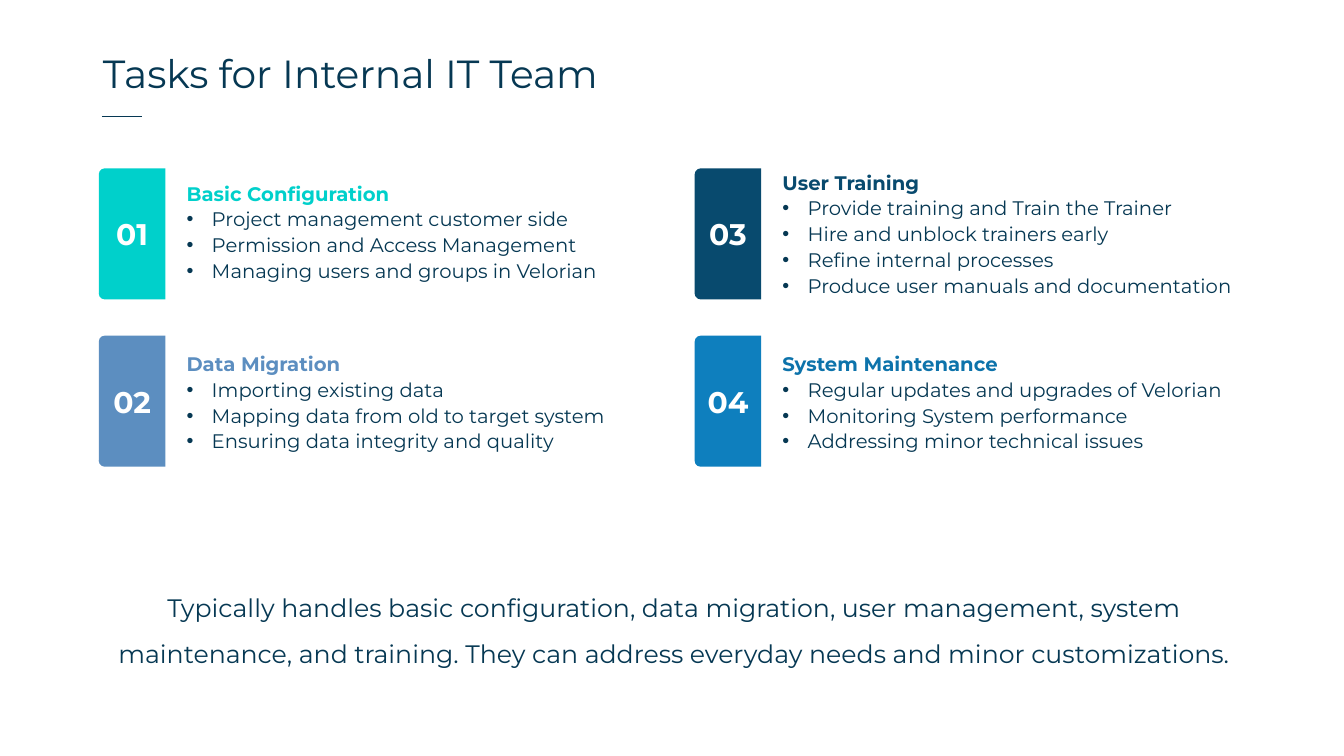
from dataclasses import dataclass

from lxml import etree
from pptx import Presentation
from pptx.dml.color import RGBColor
from pptx.enum.shapes import MSO_CONNECTOR, MSO_SHAPE
from pptx.enum.text import MSO_ANCHOR, MSO_AUTO_SIZE, PP_ALIGN
from pptx.oxml.ns import qn
from pptx.util import Inches, Pt

LEFT, CENTER = PP_ALIGN.LEFT, PP_ALIGN.CENTER
TOP, MIDDLE = MSO_ANCHOR.TOP, MSO_ANCHOR.MIDDLE
TAB_SHAPE = MSO_SHAPE.ROUND_2_SAME_RECTANGLE
STRAIGHT = MSO_CONNECTOR.STRAIGHT
COMPARISON_LAYOUT = 4  # a title and four body placeholders


@dataclass(frozen=True)
class Theme:
    font: str = "Montserrat"
    ink: str = "063853"
    white: str = "FFFFFF"
    title_size: float = 28
    number_size: float = 21.3
    list_size: float = 14
    summary_size: float = 18


theme = Theme()


def place(shape, left, top, width, height):
    """Move a shape to a place given in inches."""
    shape.left, shape.top = Inches(left), Inches(top)
    shape.width, shape.height = Inches(width), Inches(height)


def write(shape, text, *, size, color=theme.ink, bold=False, align=LEFT,
          anchor=MIDDLE, spacing=1.0, inset=None, bullets=()):
    """Write a lead paragraph, then any bulleted ones, in one format."""
    frame = shape.text_frame
    frame.word_wrap = True
    frame.auto_size = MSO_AUTO_SIZE.NONE
    frame.vertical_anchor = anchor
    if inset is not None:
        frame.margin_left = frame.margin_right = Inches(inset)
        frame.margin_top = frame.margin_bottom = Inches(inset)
    for index, line in enumerate([text, *bullets]):
        paragraph = frame.paragraphs[0] if index == 0 else frame.add_paragraph()
        paragraph.alignment = align
        paragraph.line_spacing = spacing
        paragraph.space_before = paragraph.space_after = Pt(0)
        run = paragraph.add_run()
        run.text = line
        run.font.name = theme.font
        run.font.size = Pt(size)
        run.font.bold = bold and index == 0
        run.font.color.rgb = RGBColor.from_string(color if index == 0 else theme.ink)
        # Hanging bullets below the lead paragraph
        properties = paragraph._p.get_or_add_pPr()
        hang = Inches(0.25) if index else 0
        properties.set("marL", str(hang))
        properties.set("indent", str(-hang))
        if index:
            etree.SubElement(properties, qn("a:buFont")).set("typeface", "Arial")
            etree.SubElement(properties, qn("a:buChar")).set("char", "•")
        else:
            etree.SubElement(properties, qn("a:buNone"))


presentation = Presentation()
presentation.slide_width, presentation.slide_height = Inches(13.33), Inches(7.5)
slide = presentation.slides.add_slide(presentation.slide_layouts[COMPARISON_LAYOUT])
title, *list_bodies = slide.placeholders

# Title and its short rule
place(title, 0.92, 0.23, 9.43, 1.04)
write(title, "Tasks for Internal IT Team", size=theme.title_size, spacing=0.9)
rule = slide.shapes.add_connector(
    STRAIGHT, Inches(1.01), Inches(1.15), Inches(1.41), Inches(1.15))
rule.line.color.rgb = RGBColor.from_string(theme.ink)
rule.line.width = Pt(0.25)
etree.SubElement(rule._element.spPr, qn("a:effectLst"))

# Task cards, filled down the columns:
# tab colour, heading colour, shift of the list from the tab's middle, heading, items
cards = [
    ("00D0CB", "00D0CB", -0.03, "Basic Configuration",
     ["Project management customer side",
      "Permission and Access Management",
      "Managing users and groups in Velorian"]),
    ("5C8EC0", "5C8EC0", 0, "Data Migration",
     ["Importing existing data",
      "Mapping data from old to target system",
      "Ensuring data integrity and quality"]),
    ("084A6E", "084A6E", -0.01, "User Training",
     ["Provide training and Train the Trainer",
      "Hire and unblock trainers early",
      "Refine internal processes",
      "Produce user manuals and documentation"]),
    ("0E7FBE", "0D73AB", 0, "System Maintenance",
     ["Regular updates and upgrades of Velorian",
      "Monitoring System performance",
      "Addressing minor technical issues"]),
]
ROWS = 2
GRID_LEFT, FIRST_MIDDLE = 0.98, 2.32
COLUMN_STEP, ROW_STEP = 5.91, 1.66
TAB_WIDTH, TAB_HEIGHT = 0.66, 1.3
NUMBER_WIDTH, NUMBER_HEIGHT = 0.58, 0.36
LIST_OFFSET, LIST_WIDTH, LIST_HEIGHT = 0.77, 4.77, 1.4

for index, (body, card) in enumerate(zip(list_bodies, cards)):
    tab_color, heading_color, shift, heading, items = card
    column, row = divmod(index, ROWS)
    left = GRID_LEFT + column * COLUMN_STEP
    middle = FIRST_MIDDLE + row * ROW_STEP
    center = left + TAB_WIDTH / 2

    # Tab, turned so that its rounded corners face left
    tab = slide.shapes.add_shape(TAB_SHAPE, 0, 0, 0, 0)
    place(tab, center - TAB_HEIGHT / 2, middle - TAB_WIDTH / 2, TAB_HEIGHT, TAB_WIDTH)
    tab.rotation = 270
    tab.adjustments[0], tab.adjustments[1] = 0.09, 0
    tab.shadow.inherit = False
    tab.fill.solid()
    tab.fill.fore_color.rgb = RGBColor.from_string(tab_color)
    tab.line.fill.background()

    # Upright number
    number = slide.shapes.add_textbox(0, 0, 0, 0)
    place(number, center - NUMBER_WIDTH / 2, middle - NUMBER_HEIGHT / 2,
          NUMBER_WIDTH, NUMBER_HEIGHT)
    write(number, f"{index + 1:02}", size=theme.number_size, color=theme.white,
          bold=True, align=CENTER, inset=0)

    # Heading and list
    place(body, left + LIST_OFFSET, middle + shift - LIST_HEIGHT / 2,
          LIST_WIDTH, LIST_HEIGHT)
    write(body, heading, size=theme.list_size, color=heading_color, bold=True,
          spacing=1.1, bullets=items)

# Summary
summary = slide.shapes.add_textbox(0, 0, 0, 0)
place(summary, 0.94, 5.68, 11.49, 0.96)
write(summary,
      "Typically handles basic configuration, data migration, user management, "
      "system maintenance, and training. They can address everyday needs and "
      "minor customizations.",
      size=theme.summary_size, align=CENTER, anchor=TOP, spacing=1.5)

presentation.save("out.pptx")
